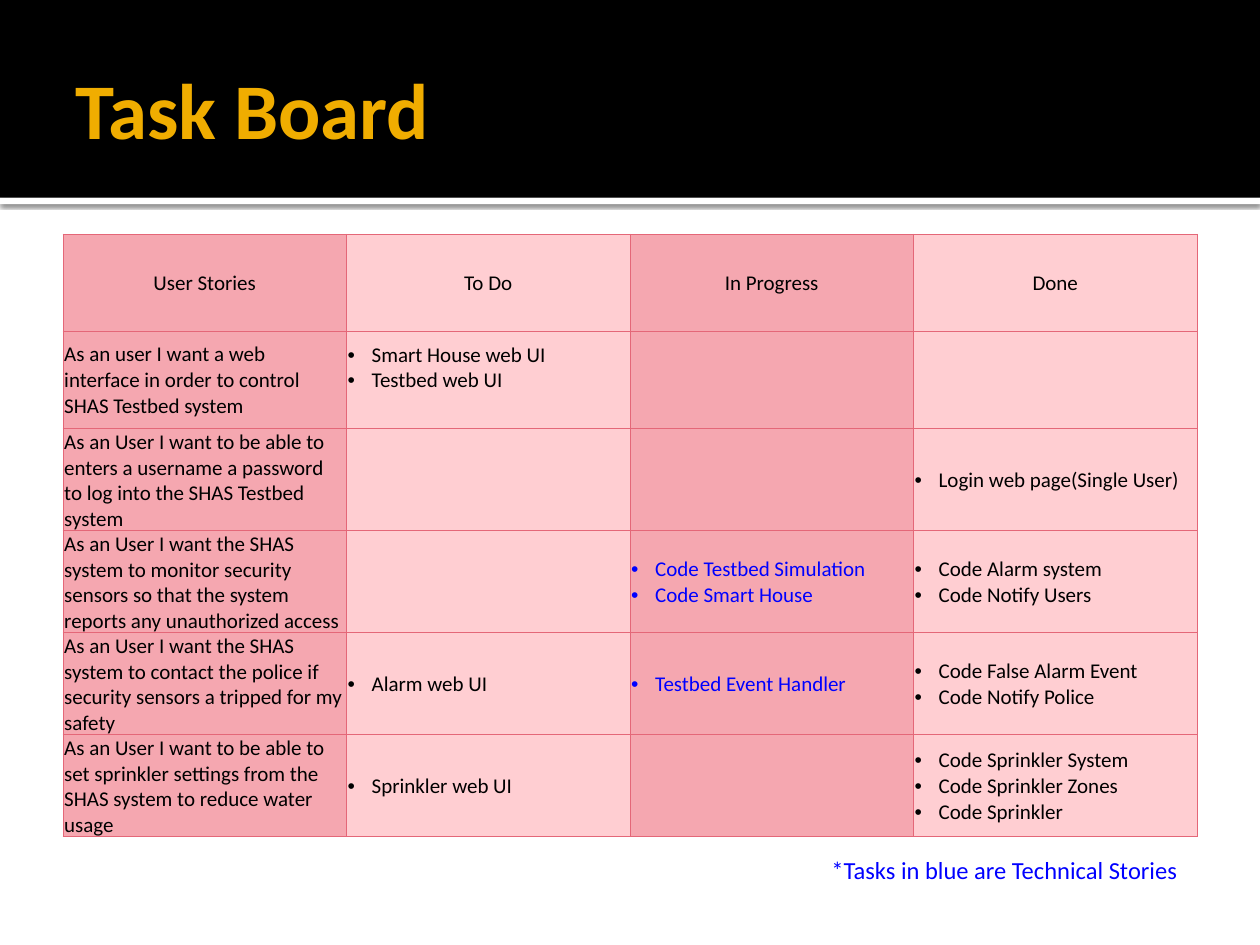
"""Build the task board slide with its table of user stories."""
from pptx import Presentation
from pptx.dml.color import RGBColor
from pptx.enum.shapes import MSO_SHAPE
from pptx.enum.text import MSO_ANCHOR, PP_ALIGN
from pptx.oxml import parse_xml
from pptx.oxml.ns import nsdecls
from pptx.util import Inches, Pt

RECTANGLE = MSO_SHAPE.RECTANGLE
MIDDLE = MSO_ANCHOR.MIDDLE
CENTER = PP_ALIGN.CENTER
FONT = "Calibri"
BLACK = RGBColor(0x00, 0x00, 0x00)
WHITE = RGBColor(0xFF, 0xFF, 0xFF)
GOLD = RGBColor(0xF0, 0xAD, 0x00)
BLUE = RGBColor(0x00, 0x00, 0xFF)
ROSE = RGBColor(0xF5, 0xA7, 0xB0)
PINK = RGBColor(0xFF, 0xCE, 0xD2)
BORDER = RGBColor(0xE4, 0x67, 0x78)

COLUMN_FILLS = [ROSE, PINK, ROSE, PINK]
COLUMN_INKS = [BLACK, BLACK, BLUE, BLACK]
ROW_HEIGHTS = [0.77, 0.77, 0.78, 0.78, 0.78, 0.78]
HEADINGS = ["User Stories", "To Do", "In Progress", "Done"]
STORIES = [
    ("As an user I want a web interface in order to control SHAS Testbed system",
     ["Smart House web UI", "Testbed web UI"], [], []),
    ("As an User I want to be able to enters a username a password to log into "
     "the SHAS Testbed system",
     [], [], ["Login web page(Single User)"]),
    ("As an User I want the SHAS system to monitor security sensors so that the "
     "system reports any unauthorized access",
     [], ["Code Testbed Simulation", "Code Smart House"],
     ["Code Alarm system", "Code Notify Users"]),
    ("As an User I want the SHAS system to contact the police if security sensors "
     "a tripped for my safety",
     ["Alarm web UI"], ["Testbed Event Handler"],
     ["Code False Alarm Event", "Code Notify Police"]),
    ("As an User I want to be able to set sprinkler settings from the SHAS system "
     "to reduce water usage",
     ["Sprinkler web UI"], [],
     ["Code Sprinkler System", "Code Sprinkler Zones", "Code Sprinkler"]),
]


def style_text(tf, size, color, bold=False):
    """Format every run in a text frame."""
    for p in tf.paragraphs:
        for r in p.runs:
            r.font.name = FONT
            r.font.size = Pt(size)
            r.font.bold = bold
            r.font.color.rgb = color


def add_band(s, top, height, color):
    """Add a full-width band without outline."""
    band = s.shapes.add_shape(RECTANGLE, 0, Inches(top), Inches(10), Inches(height))
    band.fill.solid()
    band.fill.fore_color.rgb = color
    band.line.fill.background()
    band.shadow.inherit = False
    return band


def add_drop_shadow(shape):
    """Give a shape a soft shadow below it."""
    effects = shape._element.spPr.find(
        "{http://schemas.openxmlformats.org/drawingml/2006/main}effectLst")
    effects.append(parse_xml(
        f'<a:outerShdw {nsdecls("a")} blurRad="{Pt(2.5)}" dist="{Pt(0.8)}" '
        'dir="5400000" algn="tl" rotWithShape="0"><a:srgbClr val="000000">'
        '<a:alpha val="60000"/></a:srgbClr></a:outerShdw>'))


def add_text(s, left, top, width, height, text, size, color, bold=False):
    """Add a wrapping text box and return its frame."""
    box = s.shapes.add_textbox(Inches(left), Inches(top), Inches(width), Inches(height))
    tf = box.text_frame
    tf.word_wrap = True
    tf.text = text
    style_text(tf, size, color, bold)
    return tf


def set_borders(cell):
    """Draw a thin line on all four sides of a cell."""
    tc_pr = cell._tc.get_or_add_tcPr()
    for i, side in enumerate(("lnL", "lnR", "lnT", "lnB")):
        tc_pr.insert(i, parse_xml(
            f'<a:{side} {nsdecls("a")} w="{Pt(0.5)}"><a:solidFill>'
            f'<a:srgbClr val="{BORDER}"/></a:solidFill></a:{side}>'))


def set_bullet(p):
    """Turn a paragraph into a bullet with a hanging indent."""
    p_pr = p._p.get_or_add_pPr()
    p_pr.set("marL", str(Inches(0.19)))
    p_pr.set("indent", str(-Inches(0.19)))
    p_pr.append(parse_xml(f'<a:buFont {nsdecls("a")} typeface="Arial"/>'))
    p_pr.append(parse_xml(f'<a:buChar {nsdecls("a")} char="•"/>'))


def fill_cell(cell, content, fill, ink):
    """Write a string, or a list of bullets, into a styled cell."""
    cell.fill.solid()
    cell.fill.fore_color.rgb = fill
    set_borders(cell)
    cell.vertical_anchor = MIDDLE
    cell.margin_left = cell.margin_right = cell.margin_top = Inches(0.01)
    cell.margin_bottom = 0
    tf = cell.text_frame
    if isinstance(content, str):
        tf.text = content
    else:
        tf.text = "\n".join(content)
        for p in tf.paragraphs:
            if p.runs:
                set_bullet(p)
    style_text(tf, 12, ink)


def add_board(s):
    """Add the table of stories and their tasks."""
    rows = [HEADINGS, *STORIES]
    frame = s.shapes.add_table(len(rows), len(HEADINGS), Inches(0.5), Inches(1.86),
                               Inches(9), Inches(sum(ROW_HEIGHTS)))
    table = frame.table
    table.first_row = table.horz_banding = False
    for row, height in zip(table.rows, ROW_HEIGHTS):
        row.height = Inches(height)
    for i, contents in enumerate(rows):
        for j, content in enumerate(contents):
            ink = COLUMN_INKS[j] if i else BLACK
            fill_cell(table.cell(i, j), content, COLUMN_FILLS[j], ink)
    for j in range(len(HEADINGS)):
        table.cell(0, j).text_frame.paragraphs[0].alignment = CENTER
    table.cell(1, 1).margin_bottom = Inches(0.2)


def main():
    """Build and save the slide."""
    prs = Presentation()
    prs.slide_width, prs.slide_height = Inches(10), Inches(7.5)
    s = prs.slides.add_slide(prs.slide_layouts[6])
    add_drop_shadow(add_band(s, 1.57, 0.05, WHITE))
    add_band(s, 0, 1.57, BLACK)
    title = add_text(s, 0.5, 0.17, 9, 1.37, "Task Board", 45, GOLD, True)
    title.vertical_anchor = MIDDLE
    add_board(s)
    add_text(s, 6.5, 6.74, 3, 0.34, "*Tasks in blue are Technical Stories", 14, BLUE)
    prs.save("out.pptx")


if __name__ == "__main__":
    main()
